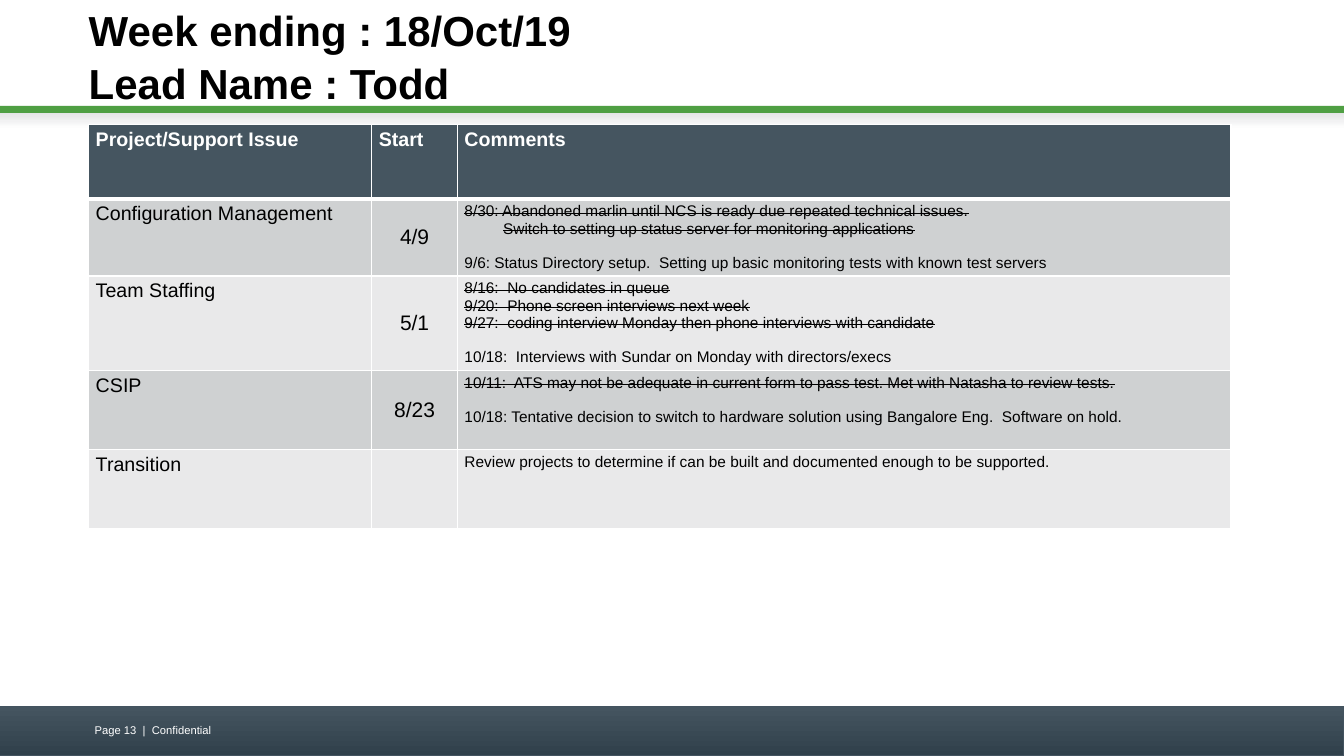
from lxml import etree
from pptx import Presentation
from pptx import util as u
from pptx.dml.color import RGBColor
from pptx.enum import shapes, text
from pptx.oxml import ns

COLORS = {
    "white": "FFFFFF", "black": "000000", "green": "4F9F43",
    "slate": "455560", "dark_slate": "30404B", "footer_line": "43535F",
    "shade": "E4E5E6", "band_dark": "CFD1D2", "band_light": "E9E9EA",
}
COLUMNS, ROWS = 160, 90
MARGIN = 10.56

HEADERS = ["Project/Support Issue", "Start", "Comments"]
# Each comment is (text, struck through, gap above, hanging indent in columns).
PROJECTS = [
    ("Configuration Management", "4/9", [
        ("8/30: Abandoned marlin until NCS is ready due repeated technical issues.", True, 0, 6),
        ("\tSwitch to setting up status server for monitoring applications", True, 0, 4.6),
        ("9/6: Status Directory setup.  Setting up basic monitoring tests with known test servers",
         False, 12.5, 6),
    ]),
    ("Team Staffing", "5/1", [
        ("8/16:  No candidates in queue", True, 0, 6),
        ("9/20:  Phone screen interviews next week", True, 0, 6),
        ("9/27:  coding interview Monday then phone interviews with candidate", True, 0, 6),
        ("10/18:  Interviews with Sundar on Monday with directors/execs", False, 12.5, 6),
    ]),
    ("CSIP", "8/23", [
        ("10/11:  ATS may not be adequate in current form to pass test. "
         "Met with Natasha to review tests.", True, 0, 6),
        ("10/18: Tentative decision to switch to hardware solution using Bangalore Eng.  "
         "Software on hold.", False, 12.5, 6),
    ]),
    ("Transition", "", [
        ("Review projects to determine if can be built and documented enough to be supported.",
         False, 0, 6),
    ]),
]


class StatusSlide:
    """Draws on one slide; lengths are columns and rows of a 160 by 90 grid."""

    def __init__(self, presentation):
        self.font = "Arial"
        self.column = presentation.slide_width / COLUMNS
        self.row = presentation.slide_height / ROWS
        self.slide = presentation.slides.add_slide(presentation.slide_layouts[5])

    def across(self, columns):
        return u.Emu(round(columns * self.column))

    def down(self, rows):
        return u.Emu(round(rows * self.row))

    def box(self, left, top, width, height):
        return self.across(left), self.down(top), self.across(width), self.down(height)

    def color(self, name):
        return RGBColor.from_string(COLORS[name])

    def paint(self, fill, name):
        fill.solid()
        fill.fore_color.rgb = self.color(name)

    def run(self, paragraph, words, size, color="black", bold=False, struck=False):
        run = paragraph.add_run()
        run.text = words
        run.font.name, run.font.size, run.font.bold = self.font, u.Pt(size), bold
        run.font.color.rgb = self.color(color)
        if struck:
            run.font._element.set("strike", "sngStrike")

    def bar(self, place, colors, angle=0, line=None):
        """A full-width band, plain for one colour and graded for two."""
        shape = self.slide.shapes.add_shape(shapes.MSO_SHAPE.RECTANGLE, *self.box(*place))
        shape.shadow.inherit = False
        if len(colors) == 1:
            self.paint(shape.fill, colors[0])
        else:
            shape.fill.gradient()
            shape.fill.gradient_angle = angle
            for stop, name in zip(shape.fill.gradient_stops, colors):
                stop.color.rgb = self.color(name)
        if line:
            shape.line.color.rgb = self.color(line)
            shape.line.width = u.Pt(0.75)
        else:
            shape.line.fill.background()

    def title(self, place, lines):
        shape = self.slide.shapes.title
        shape.left, shape.top, shape.width, shape.height = self.box(*place)
        self.paint(shape.fill, "white")
        frame = shape.text_frame
        frame.auto_size = text.MSO_AUTO_SIZE.NONE
        frame.word_wrap = True
        frame.vertical_anchor = text.MSO_ANCHOR.MIDDLE
        frame.margin_left = frame.margin_right = 0
        paragraph = frame.paragraphs[0]
        paragraph.alignment = text.PP_ALIGN.LEFT
        paragraph.line_spacing = 1.05
        for index, line in enumerate(lines):
            if index:
                paragraph.add_line_break()
            self.run(paragraph, line, 30, bold=True)

    def label(self, place, words):
        frame = self.slide.shapes.add_textbox(*self.box(*place)).text_frame
        frame.word_wrap = True
        self.run(frame.paragraphs[0], words, 8, "white")

    def table(self, left, top, widths, heights):
        place = self.box(left, top, sum(widths), sum(heights))
        table = self.slide.shapes.add_table(len(heights), len(widths), *place).table
        for column, width in zip(table.columns, widths):
            column.width = self.across(width)
        for row, height in zip(table.rows, heights):
            row.height = self.down(height)
        return table

    def cell(self, cell, fill, top_line=1, bottom_line=1):
        """Fills and borders a cell, and returns its first paragraph."""
        self.paint(cell.fill, fill)
        cell.margin_left = cell.margin_right = u.Inches(0.07)
        cell.margin_top = cell.margin_bottom = u.Inches(0.04)
        properties = cell._tc.get_or_add_tcPr()
        widths = {"a:lnL": 1, "a:lnR": 1, "a:lnT": top_line, "a:lnB": bottom_line}
        for index, (tag, width) in enumerate(widths.items()):
            line = etree.Element(ns.qn(tag), w=str(u.Pt(width)))
            solid = etree.SubElement(line, ns.qn("a:solidFill"))
            etree.SubElement(solid, ns.qn("a:srgbClr"), val=COLORS["white"])
            properties.insert(index, line)
        return cell.text_frame.paragraphs[0]

    def comments(self, cell, comments):
        frame = cell.text_frame
        for index, (words, struck, gap, indent) in enumerate(comments):
            paragraph = frame.add_paragraph() if index else frame.paragraphs[0]
            paragraph.space_before = u.Pt(gap)
            properties = paragraph._p.get_or_add_pPr()
            properties.set("marL", str(self.across(indent)))
            properties.set("indent", str(-self.across(indent)))
            self.run(paragraph, words, 11, struck=struck)


def main():
    presentation = Presentation()
    presentation.slide_width, presentation.slide_height = u.Inches(13.33), u.Inches(7.5)
    page = StatusSlide(presentation)

    page.bar((0, 84.1, COLUMNS, 5.9), ["dark_slate", "slate"], 90, "footer_line")
    page.bar((0, 13.44, COLUMNS, 1.92), ["shade", "white"], 270)
    page.bar((0, 12.6, COLUMNS, 0.84), ["green"])
    page.title((MARGIN, 1.68, 136, 9.72), ["Week ending : 18/Oct/19", "Lead Name : Todd"])

    table = page.table(MARGIN, 14.8, [33.7, 10.2, 92.1], [8.9, 8.9, 11.2, 9.45, 9.45])
    for index, header in enumerate(HEADERS):
        paragraph = page.cell(table.cell(0, index), "slate", bottom_line=3)
        page.run(paragraph, header, 14, "white", bold=True)
    for index, (project, start, comments) in enumerate(PROJECTS, 1):
        fill = "band_dark" if index % 2 else "band_light"
        cells = [table.cell(index, column) for column in range(len(HEADERS))]
        name, date, _ = [page.cell(cell, fill, 3 if index == 1 else 1) for cell in cells]
        page.run(name, project, 14)
        if start:
            cells[1].vertical_anchor = text.MSO_ANCHOR.MIDDLE
            date.alignment = text.PP_ALIGN.CENTER
            page.run(date, start, 15)
        page.comments(cells[2], comments)

    page.label((10.08, 85.56, 37.3, 3.12), "Page 13  |  Confidential")
    presentation.save("out.pptx")


if __name__ == "__main__":
    main()
